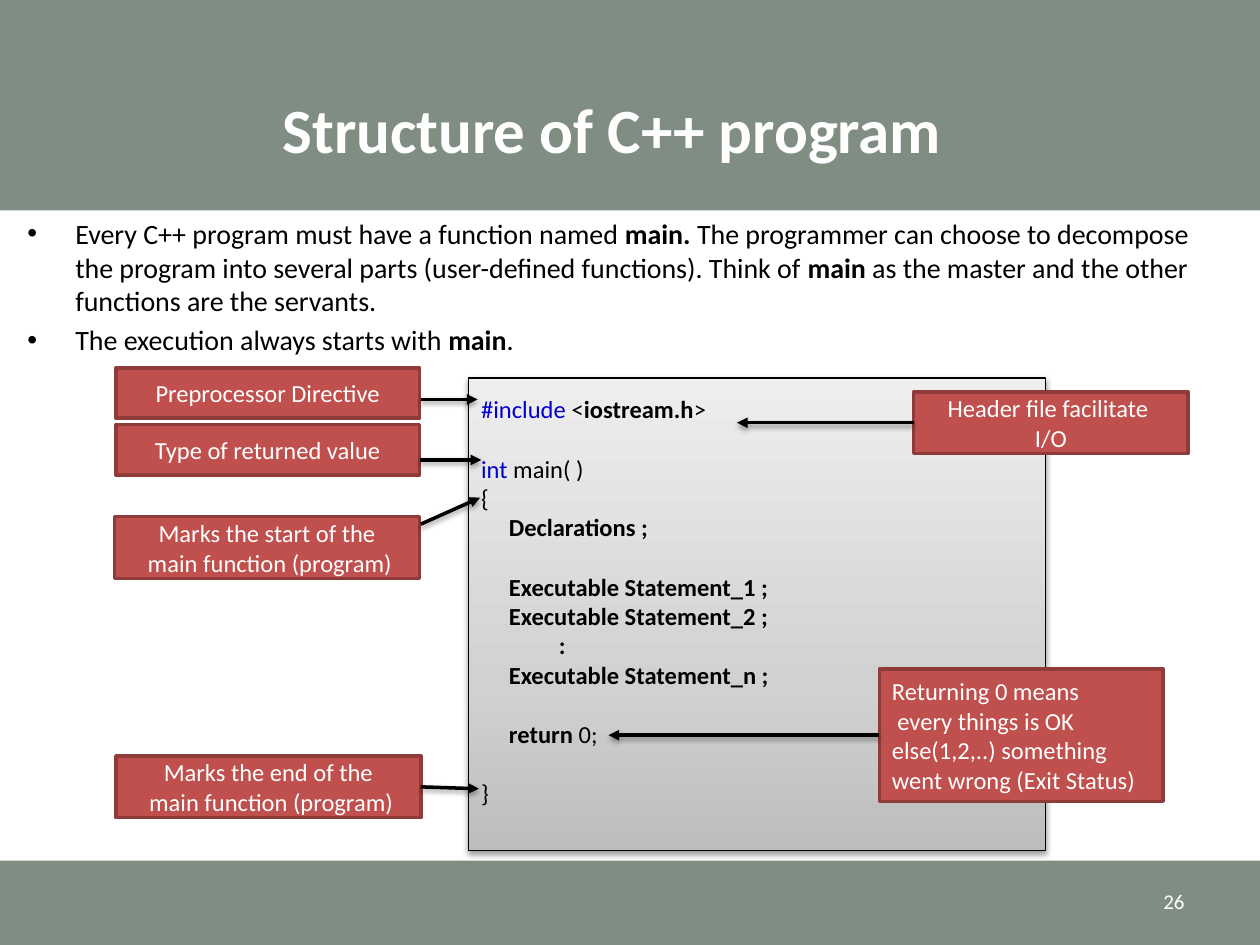
import copy
import pptx
import pptx.util
import pptx.dml.color
import pptx.enum.shapes
import pptx.enum.text
import pptx.oxml
import pptx.oxml.ns
from lxml import etree

RGB = pptx.dml.color.RGBColor
Pt = pptx.util.Pt
ALIGN = pptx.enum.text.PP_ALIGN
ANCHOR = pptx.enum.text.MSO_ANCHOR
qn = pptx.oxml.ns.qn

SAGE = RGB(0x80, 0x8D, 0x83)
RED = RGB(0xC0, 0x50, 0x4D)
DARK_RED = RGB(0x8E, 0x3B, 0x39)
WHITE = RGB(0xFF, 0xFF, 0xFF)
BLACK = RGB(0x00, 0x00, 0x00)
KEYWORD = RGB(0x00, 0x00, 0xCC)
GREYS = [(0, RGB(0xBD, 0xBD, 0xBD)), (0.35, RGB(0xD1, 0xD1, 0xD1)), (1, RGB(0xEE, 0xEE, 0xEE))]

prs = pptx.Presentation()
prs.slide_width, prs.slide_height = pptx.util.Inches(10), pptx.util.Inches(7.5)
s = prs.slides.add_slide(prs.slide_layouts[6])

# Grid of 100 columns by 75 rows
COL, ROW = prs.slide_width / 100, prs.slide_height / 75


def box(cells, lines=(), size=14, color=WHITE, align=ALIGN.LEFT, anchor=ANCHOR.MIDDLE,
        wrap=True, fill=None, line=None, width=2):
    """Add a text box, or a rectangle if filled; a line is a list of (text, format) runs."""
    area = [round(n * unit) for n, unit in zip(cells, (COL, ROW, COL, ROW))]
    if fill is None:
        sp = s.shapes.add_textbox(*area)
    else:
        sp = s.shapes.add_shape(pptx.enum.shapes.MSO_SHAPE.RECTANGLE, *area)
        sp.shadow.inherit = False
        sp.fill.solid()
        sp.fill.fore_color.rgb = fill
        if line is None:
            sp.line.fill.background()
        else:
            sp.line.color.rgb, sp.line.width = line, Pt(width)
    tf = sp.text_frame
    tf.word_wrap, tf.vertical_anchor = wrap, anchor
    for i, runs in enumerate(lines):
        p = tf.paragraphs[0] if i == 0 else tf.add_paragraph()
        p.alignment = align
        for text, fmt in runs:
            r = p.add_run()
            r.text = text
            style = {"name": "Calibri", "size": Pt(size), "bold": False, "color": color} | fmt
            r.font.color.rgb = style.pop("color")
            for key, value in style.items():
                setattr(r.font, key, value)
    return sp


def add_shadow(sp):
    """Give a shape or connector a soft shadow straight below it."""
    spPr = sp.element.spPr
    for old in spPr.findall(qn("a:effectLst")):
        spPr.remove(old)
    effects = etree.SubElement(spPr, qn("a:effectLst"))
    outer = etree.SubElement(effects, qn("a:outerShdw"), blurRad=str(Pt(3.1)),
                             dist=str(Pt(1.6)), dir="5400000", rotWithShape="0")
    tint = etree.SubElement(outer, qn("a:srgbClr"), val=str(BLACK))
    etree.SubElement(tint, qn("a:alpha"), val="38000")


PLAIN, BOLD, BLUE = {}, {"bold": True}, {"color": KEYWORD}

# Bands, title and page number
box((0, 0, 100, 16.7), fill=SAGE)
box((0, 68.3, 100, 6.7), fill=SAGE)
box((3.6, 5.8, 90, 8.7), [[("Structure of C++ program", BOLD)]], 36, align=ALIGN.CENTER)
box((71.7, 69.5, 23.3, 4), [[("26", PLAIN)]], 12, align=ALIGN.RIGHT)

# Bulleted introduction
intro = box((1.2, 16.7, 95, 12.5), [
    [("Every C++ program must have a function named ", PLAIN), ("main. ", BOLD),
     ("The programmer can choose to decompose the program into several parts "
      "(user-defined functions). Think of ", PLAIN), ("main", BOLD),
     (" as the master and the other functions are the servants.", PLAIN)],
    [("The execution always starts with ", PLAIN), ("main", BOLD), (".", PLAIN)],
], 16, BLACK, anchor=ANCHOR.TOP)
for p in intro.text_frame.paragraphs:
    pPr = p._p.get_or_add_pPr()
    pPr.set("marL", str(round(3.8 * COL)))
    pPr.set("indent", str(round(-3.8 * COL)))
    etree.SubElement(pPr, qn("a:buFont"), typeface="Arial")
    etree.SubElement(pPr, qn("a:buChar"), char="•")
intro.text_frame.paragraphs[1].space_before = Pt(3.2)

# Code panel
code = box((37.2, 30, 45.8, 37.5), [
    [("#include", BLUE), (" <", PLAIN), ("iostream.h", BOLD), (">", PLAIN)],
    [("int", BLUE), (" main( )", PLAIN)],
    [("{", PLAIN)],
    [("     Declarations ;", BOLD)],
    [("     ", PLAIN), ("Executable Statement_1 ;", BOLD)],
    [("     ", PLAIN), ("Executable Statement_2 ;", BOLD)],
    [("             ", PLAIN), (" :", BOLD)],
    [("     Executable Statement_n ;", BOLD)],
    [("     ", PLAIN), ("return", BOLD), (" 0;", PLAIN)],
    [("}", PLAIN)],
], color=BLACK, anchor=ANCHOR.TOP, wrap=False, fill=WHITE, line=BLACK, width=0.75)
code.text_frame.margin_top = round(1.3 * ROW)
for i in (1, 4, 8, 9):
    code.text_frame.paragraphs[i].space_before = Pt(17)
code.fill.gradient()
code.fill.gradient_angle = 90
stops = code.element.spPr.find(qn("a:gradFill")).find(qn("a:gsLst"))
stops.insert(1, copy.deepcopy(stops[0]))
for stop, (position, grey) in zip(code.fill.gradient_stops, GREYS):
    stop.position, stop.color.rgb = position, grey
add_shadow(code)

# Callouts: cells, lines, alignment, arrow start (or side to join), arrow tip
CALLOUTS = [
    ((9.2, 29.2, 24.1, 4), ["Preprocessor Directive"], ALIGN.CENTER, (33.4, 31.7), (37.9, 31.7)),
    ((9.2, 33.7, 24.1, 4), ["Type of returned value"], ALIGN.CENTER, (33.3, 36.5), (38.2, 36.5)),
    ((9.1, 41, 24.2, 4.9), ["Marks the start of the", " main function (program)"],
     ALIGN.CENTER, (33.4, 41.6), (38.1, 39.5)),
    ((9.2, 60, 24.2, 4.9), ["Marks the end of the", " main function (program)"],
     ALIGN.CENTER, 3, (38, 62.6)),
    ((72.5, 31.1, 21.8, 4.9), ["Header file facilitate ", "I/O"], ALIGN.CENTER, 1, (58.5, 33.55)),
    ((69.8, 53.1, 22.5, 10.5), ["Returning 0 means", " every things is OK",
                                "else(1,2,..) something", "went wrong (Exit Status)"],
     ALIGN.LEFT, 1, (48.3, 58.35)),
]
for cells, lines, align, start, tip in CALLOUTS:
    sp = box(cells, [[(text, PLAIN)] for text in lines], align=align, wrap=False,
             fill=RED, line=DARK_RED)
    joined = isinstance(start, int)
    x, y = tip if joined else start
    arrow = s.shapes.add_connector(pptx.enum.shapes.MSO_CONNECTOR.STRAIGHT, round(x * COL),
                                   round(y * ROW), round(tip[0] * COL), round(tip[1] * ROW))
    if joined:
        arrow.begin_connect(sp, start)
    arrow.line.color.rgb, arrow.line.width = BLACK, Pt(2)
    etree.SubElement(arrow.line._get_or_add_ln(), qn("a:tailEnd"), type="triangle")
    add_shadow(arrow)

prs.save("out.pptx")
